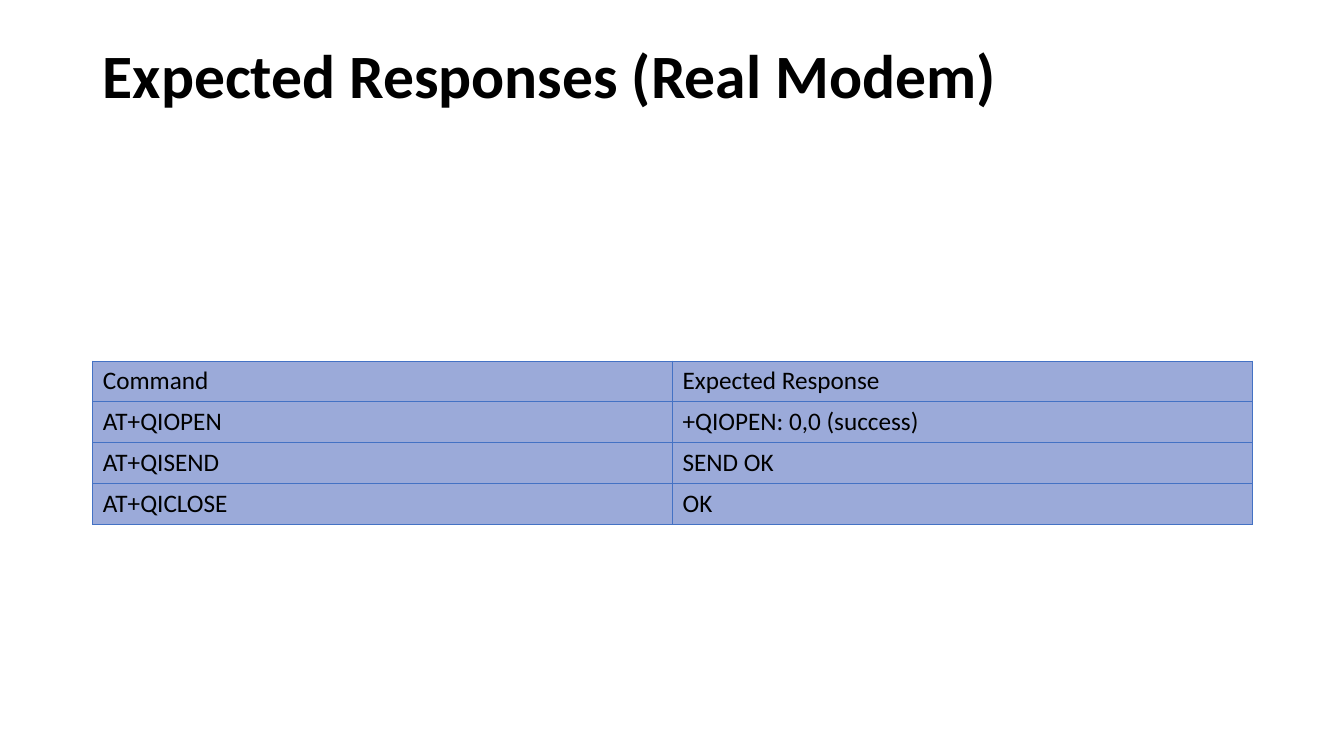
from lxml.etree import SubElement
from pptx import Presentation
from pptx.dml.color import RGBColor
from pptx.enum.text import MSO_ANCHOR, PP_ALIGN
from pptx.oxml.ns import qn
from pptx.util import Inches, Pt

BLACK = RGBColor(0x00, 0x00, 0x00)
CELL_BLUE = RGBColor(0x9B, 0xAA, 0xD9)
BORDER_BLUE = RGBColor(0x44, 0x72, 0xC4)

RESPONSES = [
    ("Command", "Expected Response"),
    ("AT+QIOPEN", "+QIOPEN: 0,0 (success)"),
    ("AT+QISEND", "SEND OK"),
    ("AT+QICLOSE", "OK"),
]


class SlideBuilder:
    font_name = "Calibri"

    def __init__(self, slide):
        self.slide = slide

    def style(self, paragraph, size, bold=False):
        paragraph.alignment = PP_ALIGN.LEFT
        font = paragraph.font
        font.name = self.font_name
        font.size = Pt(size)
        font.bold = bold
        font.color.rgb = BLACK

    def title(self, text, left, top, width, height):
        heading = self.slide.shapes.title
        heading.left, heading.top = Inches(left), Inches(top)
        heading.width, heading.height = Inches(width), Inches(height)
        frame = heading.text_frame
        frame.text = text
        frame.word_wrap = True
        frame.vertical_anchor = MSO_ANCHOR.TOP
        paragraph = frame.paragraphs[0]
        paragraph.line_spacing = 0.9
        self.style(paragraph, 44, bold=True)

    def border(self, cell):
        properties = cell._tc.get_or_add_tcPr()
        for position, side in enumerate(("a:lnL", "a:lnR", "a:lnT", "a:lnB")):
            line = SubElement(properties, qn(side), w=str(Pt(0.5)))
            fill = SubElement(line, qn("a:solidFill"))
            SubElement(fill, qn("a:srgbClr"), val=str(BORDER_BLUE))
            properties.insert(position, line)

    def table(self, rows, left, top, width, row_height):
        frame = self.slide.shapes.add_table(
            len(rows), len(rows[0]), Inches(left), Inches(top),
            Inches(width), Inches(row_height * len(rows)))
        grid = frame.table
        grid.first_row = False
        grid.horz_banding = False
        for row, texts in enumerate(rows):
            for column, text in enumerate(texts):
                cell = grid.cell(row, column)
                cell.text = text
                cell.vertical_anchor = MSO_ANCHOR.MIDDLE
                cell.fill.solid()
                cell.fill.fore_color.rgb = CELL_BLUE
                self.style(cell.text_frame.paragraphs[0], 18)
                self.border(cell)


def main():
    presentation = Presentation()
    presentation.slide_width = Inches(13.33)
    presentation.slide_height = Inches(7.5)
    title_only = presentation.slide_layouts[5]
    builder = SlideBuilder(presentation.slides.add_slide(title_only))
    builder.title("Expected Responses (Real Modem)", 0.92, 0.4, 11.5, 1.45)
    builder.table(RESPONSES, 0.92, 3.58, 11.5, 0.4)
    presentation.save("out.pptx")


if __name__ == "__main__":
    main()
